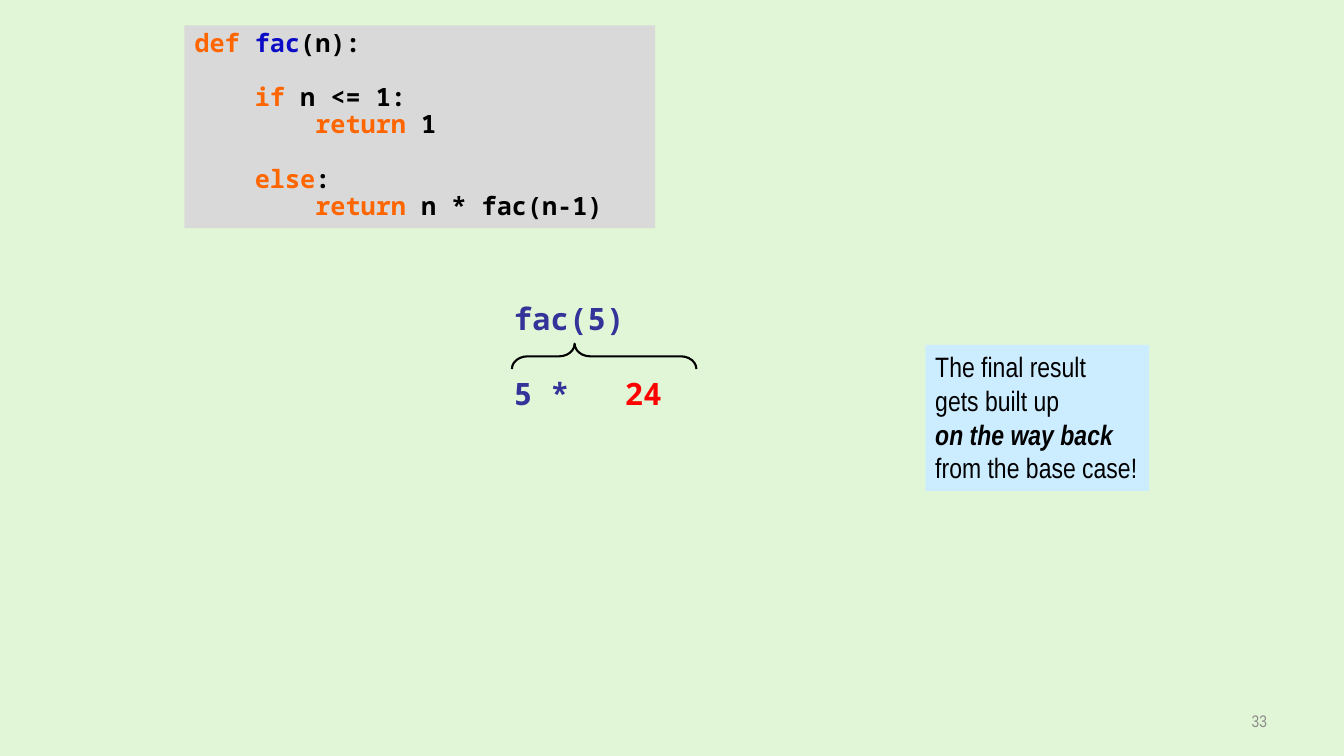
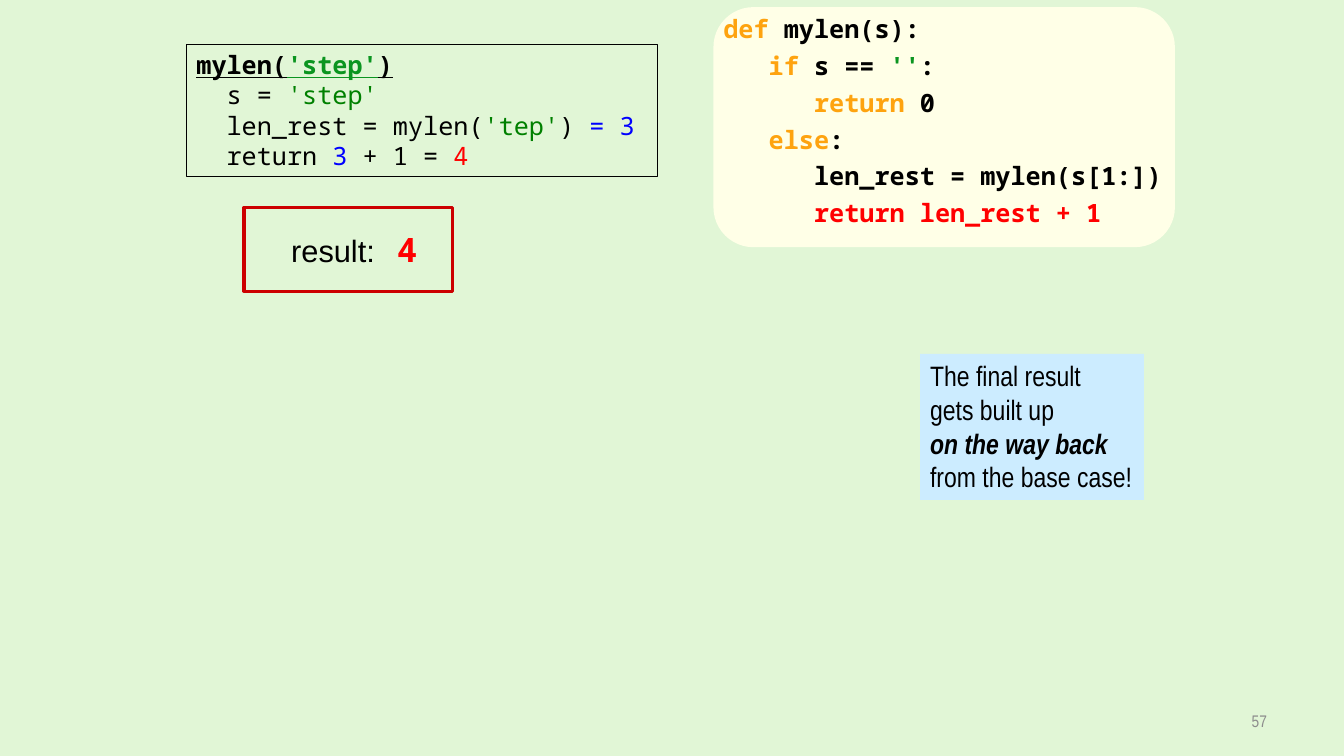
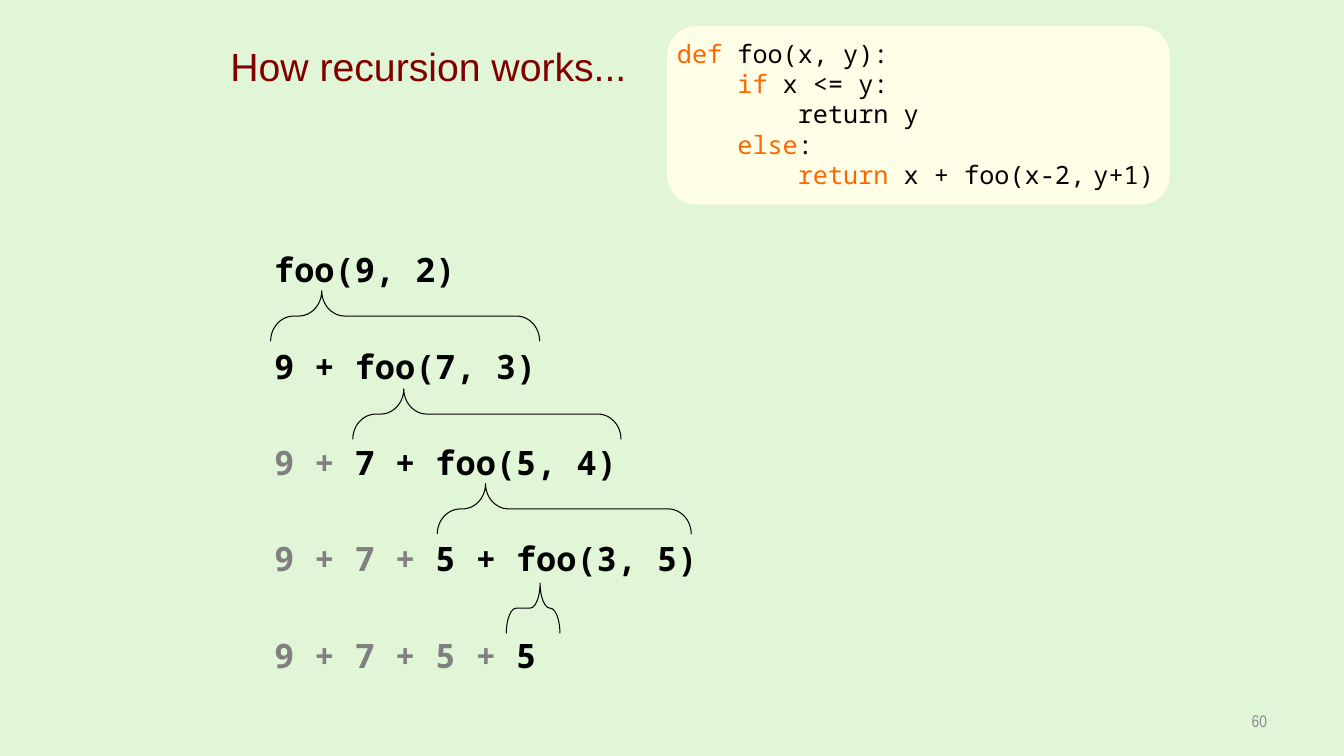
from lxml import etree
from pptx import Presentation
from pptx.dml.color import RGBColor
from pptx.enum.shapes import MSO_SHAPE
from pptx.enum.text import MSO_ANCHOR, MSO_AUTO_SIZE, PP_ALIGN
from pptx.oxml.ns import qn
from pptx.util import Cm, Pt

RECTANGLE = MSO_SHAPE.RECTANGLE
ROUNDED = MSO_SHAPE.ROUNDED_RECTANGLE
LEFT_BRACE = MSO_SHAPE.LEFT_BRACE
TOP, MIDDLE = MSO_ANCHOR.TOP, MSO_ANCHOR.MIDDLE
LEFT, CENTER, RIGHT = PP_ALIGN.LEFT, PP_ALIGN.CENTER, PP_ALIGN.RIGHT
NO_AUTOFIT = MSO_AUTO_SIZE.NONE
TITLE_ONLY, BLANK = 5, 6

MONO, SANS, NARROW = "Noto Sans Mono", "Arial", "Arial Narrow"
BLACK, RED, GRAY, NAVY = "000000", "FF0000", "808080", "333399"
ORANGE, AMBER, BLUE = "FF6600", "FEA30F", "0000FF"
GREEN, LEAF = "008000", "0B9520"
MONO_ADVANCE = 0.6


def color(value):
    return RGBColor.from_string(value)


def line(*runs, **layout):
    return runs, layout


def apply_font(font, size=None, name=None, bold=None, italic=None, underline=None):
    if size:
        font.size = Pt(size)
    if name:
        font.name = name
    if bold is not None:
        font.bold = bold
    if italic is not None:
        font.italic = italic
    if underline is not None:
        font.underline = underline


class Deck:
    """Holds the shared style and draws elements on the current slide."""

    def __init__(self):
        self.presentation = Presentation()
        self.presentation.slide_width = Cm(33.87)
        self.presentation.slide_height = Cm(19.05)
        background = self.presentation.slide_master.background.fill
        background.solid()
        background.fore_color.rgb = color("E1F6D6")
        self.slide = None

    def add_slide(self, number, layout=BLANK):
        layouts = self.presentation.slide_layouts
        self.slide = self.presentation.slides.add_slide(layouts[layout])
        self.text((24.28, 17.65, 7.9, 1.02), [line((number, "8C8C8C"))], 12,
                  NARROW, align=RIGHT, anchor=MIDDLE)

    def fill_text(self, shape, lines, size, name=MONO, bold=False, align=LEFT,
                  anchor=TOP, spacing=None, wrap=True):
        frame = shape.text_frame
        frame.auto_size = NO_AUTOFIT
        frame.word_wrap = wrap
        frame.vertical_anchor = anchor
        for index, (runs, layout) in enumerate(lines):
            paragraph = frame.paragraphs[0] if index == 0 else frame.add_paragraph()
            self.lay_out(paragraph, size, align, spacing, **layout.get("place", {}))
            apply_font(paragraph.font, size, name=name, bold=bold)
            apply_font(paragraph.font, **layout.get("font", {}))
            for text, value, *changes in runs:
                run = paragraph.add_run()
                run.text = text
                run.font.color.rgb = color(value)
                if changes:
                    apply_font(run.font, **changes[0])

    def lay_out(self, paragraph, size, align, spacing, indent=0, before=0, tab=None):
        paragraph.alignment = align
        paragraph.space_before = Pt(before)
        if spacing:
            paragraph.line_spacing = spacing
        properties = paragraph._p.get_or_add_pPr()
        if indent:
            properties.set("marL", str(int(Pt(indent * size * MONO_ADVANCE))))
            properties.set("indent", "0")
        if tab:
            stops = etree.SubElement(properties, qn("a:tabLst"))
            etree.SubElement(stops, qn("a:tab"), pos=str(int(Cm(tab))), algn="l")

    def title(self, box, text):
        shape = self.slide.shapes.title
        shape.left, shape.top, shape.width, shape.height = map(Cm, box)
        self.fill_text(shape, [line((text, "800000"))], 28, SANS, align=CENTER,
                       spacing=Pt(14))

    def text(self, box, lines, size, name=MONO, **options):
        shape = self.slide.shapes.add_textbox(*map(Cm, box))
        self.fill_text(shape, lines, size, name, **options)

    def shape(self, kind, box, fill=None, outline=None, width=0.75):
        shape = self.slide.shapes.add_shape(kind, *map(Cm, box))
        shape.shadow.inherit = False
        if fill:
            shape.fill.solid()
            shape.fill.fore_color.rgb = color(fill)
        else:
            shape.fill.background()
        if outline:
            shape.line.color.rgb = color(outline)
            shape.line.width = Pt(width)
        else:
            shape.line.fill.background()
        return shape

    def brace(self, left, top, width, height, curve, tip, weight=0.75):
        shift = (width - height) / 2
        box = (left + shift, top - shift, height, width)
        shape = self.shape(LEFT_BRACE, box, outline=BLACK, width=weight)
        shape.rotation = 90
        shape.adjustments[0], shape.adjustments[1] = curve, 1 - tip

    def code_card(self, left, top, width, height, lines, **options):
        self.shape(ROUNDED, (left, top, width, height), "FFFFE7")
        self.text((left, top + 0.18, width, height - 0.18), lines, 18, **options)

    def note(self, left, top):
        shape = self.shape(RECTANGLE, (left, top, 5.64, 3.68), "CCECFF")
        lines = [
            line(("The final result", BLACK)),
            line(("gets built up", BLACK)),
            line(("on the way back", BLACK), font={"bold": True, "italic": True}),
            line(("from the base case!", BLACK)),
        ]
        self.fill_text(shape, lines, 20, NARROW, wrap=False)


def factorial_slide(deck):
    deck.add_slide("33")
    deck.text((12.7, 7.42, 8.25, 1.19), [line(("fac(5)", NAVY))], 22, bold=True)
    deck.text((12.7, 9.32, 8.89, 1.19),
              [line(("5 *\t", NAVY), ("24", RED), place={"tab": 2.8})], 22, bold=True)
    deck.brace(12.9, 8.66, 4.65, 0.64, 0.61, 0.34, 1.5)
    code = deck.shape(RECTANGLE, (4.65, 0.64, 11.86, 5.11), "D9D9D9")
    branch = {"indent": 4, "before": 19.4}
    deck.fill_text(code, [
        line(("def ", ORANGE), ("fac", "0C0BC6"), ("(n):", BLACK)),
        line(("if", ORANGE), (" n <= 1:", BLACK), place=branch),
        line(("return", ORANGE), (" 1", BLACK), place={"indent": 8}),
        line(("else", ORANGE), (":", BLACK), place=branch),
        line(("return", ORANGE), (" n * fac(n-1)", BLACK), place={"indent": 8}),
    ], 18, bold=True, spacing=0.9)
    deck.note(23.32, 8.69)


def length_slide(deck):
    deck.add_slide("57")
    code = [
        (0, ("def ", AMBER), ("mylen(s):", BLACK)),
        (3, ("if ", AMBER), ("s == ", BLACK), ("''", LEAF), (":", BLACK)),
        (6, ("return ", AMBER), ("0", BLACK)),
        (3, ("else", AMBER), (":", BLACK)),
        (6, ("len_rest = mylen(s[1:])", BLACK)),
        (6, ("return len_rest + 1", RED)),
    ]
    deck.code_card(17.98, 0.18, 11.63, 6.05, [
        line(*runs, place={"indent": indent, "before": 9}) for indent, *runs in code
    ], bold=True, spacing=0.8)
    trace = deck.shape(RECTANGLE, (4.7, 1.12, 11.86, 3.33), outline=BLACK)
    inner = {"indent": 2}
    deck.fill_text(trace, [
        line(("mylen(", BLACK), ("'step'", LEAF), (")", BLACK),
             font={"bold": True, "underline": True}),
        line(("s = ", BLACK), ("'step'", GREEN), place=inner),
        line(("len_rest = mylen(", BLACK), ("'tep'", GREEN), (") ", BLACK),
             ("= 3", BLUE), place=inner),
        line(("return ", BLACK), ("3", BLUE), (" + 1 = ", BLACK), ("4", RED),
             place=inner),
    ], 18)
    deck.note(23.19, 8.92)
    answer = {"size": 24, "name": MONO, "bold": True}
    deck.text((7.09, 5.64, 5.23, 1.3),
              [line(("result:\t", BLACK), ("4", RED, answer), place={"tab": 2.67})],
              22, SANS)
    deck.shape(RECTANGLE, (6.15, 5.23, 5.26, 2.11), outline="CC0000", width=2.25)


def recursion_slide(deck):
    deck.add_slide("60", TITLE_ONLY)
    deck.title((5.08, 1.63, 11.43, 0.86), "How recursion works...")
    deck.code_card(16.81, 0.66, 12.67, 4.5, [
        line(("def ", ORANGE), ("foo(x, y):", BLACK)),
        line(("if", ORANGE), (" x <= y:", BLACK), place={"indent": 4}),
        line(("return y", BLACK), place={"indent": 8}),
        line(("else", ORANGE), (":", BLACK), place={"indent": 4}),
        line(("return ", ORANGE), ("x + foo(x-2,", BLACK), (" ", BLACK, {"size": 10}),
             ("y+1)", BLACK), place={"indent": 8}),
    ])
    steps = [
        ("", "foo(9, 2)", 7.31),
        ("", "9 + foo(7, 3)", 22.05),
        ("9 + ", "7 + foo(5, 4)", 12.22),
        ("9 + 7 + ", "5 + foo(3, 5)", 15.95),
        ("9 + 7 + 5 + ", "5", 13.03),
    ]
    for index, (pending, active, width) in enumerate(steps):
        runs = [(pending, GRAY)] if pending else []
        deck.text((6.66, 6.15 + 2.43 * index, width, 1.3),
                  [line(*runs, (active, BLACK))], 24, bold=True)
    for left, top, width, curve, tip in [
        (6.82, 7.33, 6.78, 0.46, 0.19),
        (8.89, 9.8, 6.76, 0.46, 0.19),
        (11.02, 12.19, 6.4, 0.46, 0.19),
        (12.76, 14.69, 1.35, 0.22, 0.63),
    ]:
        deck.brace(left, top, width, 1.27, curve, tip)


def main():
    deck = Deck()
    factorial_slide(deck)
    length_slide(deck)
    recursion_slide(deck)
    deck.presentation.save("out.pptx")


if __name__ == "__main__":
    main()
